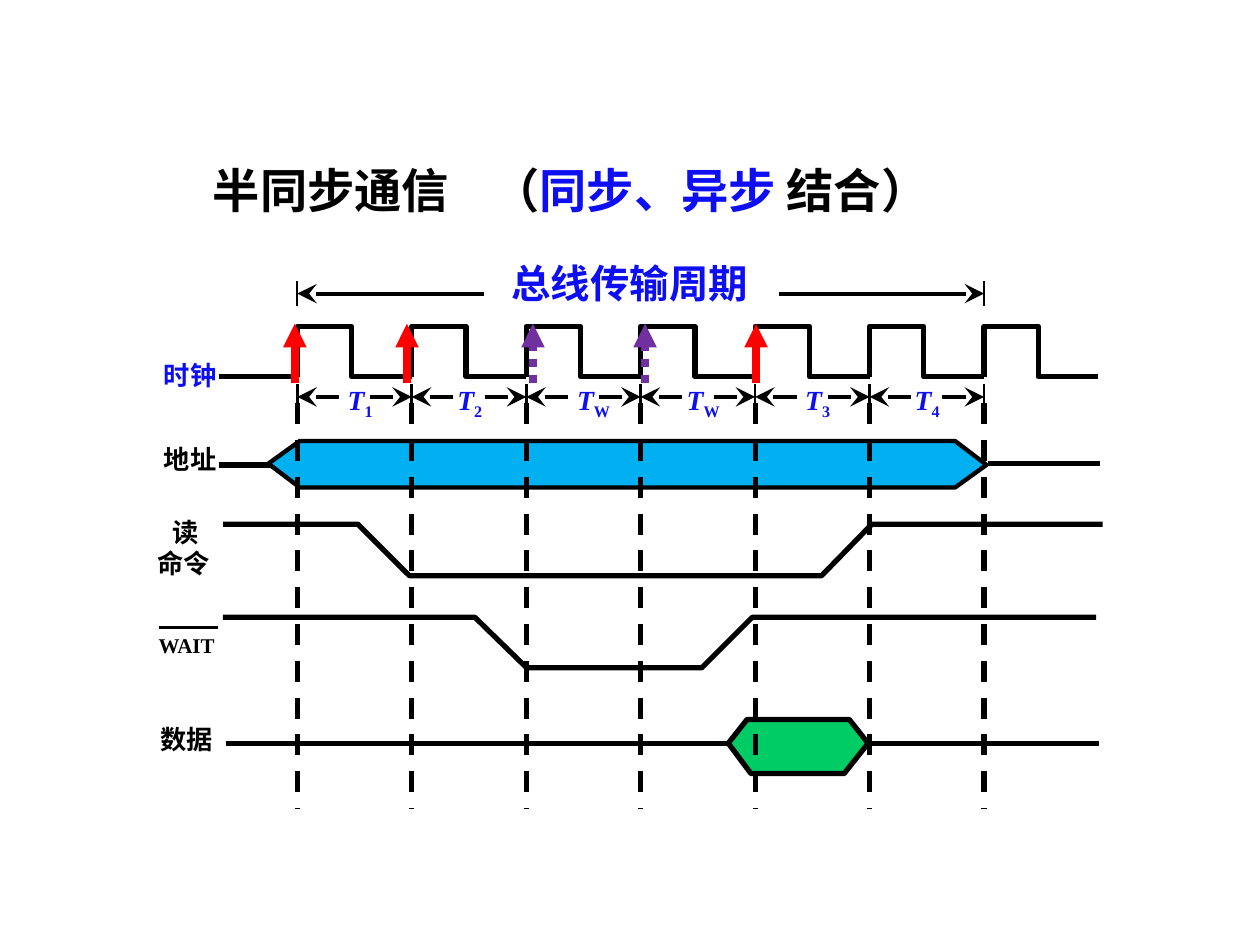
"""Build a timing diagram slide for semi-synchronous bus communication."""
from typing import NamedTuple, Optional

from lxml.etree import SubElement
from pptx import Presentation
from pptx.dml.color import RGBColor
from pptx.enum.dml import MSO_LINE
from pptx.enum.shapes import MSO_CONNECTOR
from pptx.enum.text import MSO_ANCHOR, MSO_AUTO_SIZE, PP_ALIGN
from pptx.oxml.ns import qn
from pptx.util import Inches, Pt

BLACK = RGBColor(0x00, 0x00, 0x00)
BLUE = RGBColor(0x0E, 0x0E, 0xF2)
RED = RGBColor(0xFF, 0x00, 0x00)
PURPLE = RGBColor(0x70, 0x30, 0xA0)
SKY = RGBColor(0x00, 0xB0, 0xF0)
GREEN = RGBColor(0x00, 0xCC, 0x66)
LATIN_FONT = "Times New Roman"
CHINESE_FONT = "Noto Sans CJK SC"

FIRST_EDGE, LAST_EDGE, PERIOD_COUNT = 2.36, 7.81, 6
PERIOD = (LAST_EDGE - FIRST_EDGE) / PERIOD_COUNT
EDGES = [FIRST_EDGE + PERIOD * index for index in range(PERIOD_COUNT + 1)]
CLOCK_HIGH, CLOCK_LOW = 2.59, 2.99
PERIOD_Y, CYCLE_Y = 3.15, 2.33


class Point(NamedTuple):
    x: float
    y: float


class Span(NamedTuple):
    text: str
    color: RGBColor = BLACK
    subscript: bool = False


class Label(NamedTuple):
    left: float
    top: float
    width: float
    height: float
    spans: list[Span]
    size: float
    inset: float = 0
    italic: bool = False


class Signal(NamedTuple):
    points: list[Point]
    fill: Optional[RGBColor] = None
    weight: float = 3


class Sample(NamedTuple):
    x: float
    color: RGBColor
    dash: Optional[MSO_LINE] = None


LABELS = [
    Label(3.81, 1.23, 3.9, 0.65,
          [Span("（"), Span("同步、异步 ", BLUE), Span("结合）")], 27, 0.1),
    Label(4.06, 2.06, 1.9, 0.45, [Span("总线传输周期", BLUE)], 22.5),
    Label(1.3, 2.85, 0.42, 0.3, [Span("时钟", BLUE)], 15),
    Label(1.3, 3.52, 0.42, 0.3, [Span("地址")], 15),
    Label(1.37, 4.1, 0.21, 0.3, [Span("读")], 15),
    Label(1.25, 4.34, 0.42, 0.3, [Span("命令")], 15),
    Label(1.26, 5.02, 0.46, 0.2, [Span("WAIT")], 12),
    Label(1.27, 5.74, 0.42, 0.3, [Span("数据")], 15),
]
PERIOD_LABELS = [(2.76, "1"), (3.63, "2"), (4.58, "W"),
                 (5.45, "W"), (6.39, "3"), (7.26, "4")]
SIGNALS = [
    Signal([Point(1.77, 4.16), Point(2.84, 4.16), Point(3.25, 4.57),
            Point(6.52, 4.57), Point(6.92, 4.16), Point(8.75, 4.16)]),
    Signal([Point(1.77, 4.9), Point(3.77, 4.9), Point(4.18, 5.3),
            Point(5.57, 5.3), Point(5.97, 4.9), Point(8.7, 4.9)]),
    Signal([Point(2.38, 3.5), Point(2.13, 3.68), Point(2.38, 3.87),
            Point(7.58, 3.87), Point(7.83, 3.69), Point(7.58, 3.5)], SKY, 2.5),
    Signal([Point(5.78, 5.9), Point(5.93, 5.71), Point(6.74, 5.71),
            Point(6.89, 5.9), Point(6.7, 6.14), Point(5.96, 6.14)], GREEN),
]
IDLE_LINES = [(1.74, 2.36, 2.99), (1.74, 2.14, 3.69), (7.84, 8.73, 3.68),
              (1.79, 5.79, 5.9), (6.89, 8.72, 5.9)]
SAMPLES = [Sample(2.34, RED), Sample(3.23, RED),
           Sample(4.23, PURPLE, MSO_LINE.ROUND_DOT),
           Sample(5.12, PURPLE, MSO_LINE.ROUND_DOT), Sample(6, RED)]


def write_spans(frame, spans: list[Span], size: float, italic: bool = False) -> None:
    """Fill a text frame with one bold, left-aligned paragraph."""
    frame.auto_size = MSO_AUTO_SIZE.NONE
    frame.vertical_anchor = MSO_ANCHOR.TOP
    paragraph = frame.paragraphs[0]
    paragraph.alignment = PP_ALIGN.LEFT
    font = paragraph.font
    font.name, font.size, font.bold, font.italic = LATIN_FONT, Pt(size), True, italic
    SubElement(paragraph._p.pPr.find(qn("a:defRPr")), qn("a:ea"), typeface=CHINESE_FONT)
    for span in spans:
        run = paragraph.add_run()
        run.text = span.text
        run.font.color.rgb = span.color
        if span.subscript:
            run.font.italic = False
            run._r.get_or_add_rPr().set("baseline", "-25000")


def add_label(page, label: Label) -> None:
    """Add one text box."""
    box = page.shapes.add_textbox(Inches(label.left), Inches(label.top),
                                  Inches(label.width), Inches(label.height))
    frame = box.text_frame
    frame.word_wrap = False
    frame.margin_left = frame.margin_right = Inches(label.inset)
    frame.margin_top = frame.margin_bottom = Inches(label.inset / 2)
    write_spans(frame, label.spans, label.size, label.italic)


def add_line(page, start: Point, end: Point, weight: float = 3,
             color: RGBColor = BLACK, dash: Optional[MSO_LINE] = None,
             arrow: str = "", arrow_size: str = "med") -> None:
    """Add a straight line, with an arrowhead at its end if one is named."""
    line = page.shapes.add_connector(
        MSO_CONNECTOR.STRAIGHT, Inches(start.x), Inches(start.y),
        Inches(end.x), Inches(end.y))
    line.line.width = Pt(weight)
    line.line.color.rgb = color
    if dash is not None:
        line.line.dash_style = dash
    properties = line._element.spPr
    if arrow:
        SubElement(properties.find(qn("a:ln")), qn("a:tailEnd"),
                   type=arrow, w=arrow_size, len=arrow_size)
    SubElement(properties, qn("a:effectLst"))


def add_dimension(page, start: float, end: float, y: float) -> None:
    """Add a stealth-headed dimension arrow."""
    add_line(page, Point(start, y), Point(end, y), 2.25,
             arrow="stealth", arrow_size="lg")


def add_signal(page, signal: Signal) -> None:
    """Add a waveform, closed when it has a fill."""
    corners = [(Inches(point.x), Inches(point.y)) for point in signal.points]
    builder = page.shapes.build_freeform(*corners[0])
    builder.add_line_segments(corners[1:], close=signal.fill is not None)
    shape = builder.convert_to_shape()
    shape.shadow.inherit = False
    if signal.fill is None:
        shape.fill.background()
    else:
        shape.fill.solid()
        shape.fill.fore_color.rgb = signal.fill
    shape.line.color.rgb = BLACK
    shape.line.width = Pt(signal.weight)


def add_title(page) -> None:
    """Place the slide title in its placeholder."""
    title = page.shapes.title
    title.left, title.top = Inches(1.59), Inches(1.23)
    title.width, title.height = Inches(2.2), Inches(0.65)
    write_spans(title.text_frame, [Span("半同步通信")], 27)


def main() -> None:
    """Draw the slide and save the deck."""
    deck = Presentation()
    deck.slide_width, deck.slide_height = Inches(10), Inches(7.5)
    page = deck.slides.add_slide(deck.slide_layouts[5])
    add_title(page)
    for signal in SIGNALS:
        add_signal(page, signal)
    for start, end, y in IDLE_LINES:
        add_line(page, Point(start, y), Point(end, y))
    add_line(page, Point(1.26, 4.98), Point(1.73, 4.98), 2)
    for label in LABELS:
        add_label(page, label)

    for edge in EDGES:
        fall = edge + 0.43
        add_signal(page, Signal([
            Point(edge, CLOCK_LOW), Point(edge, CLOCK_HIGH), Point(fall, CLOCK_HIGH),
            Point(fall, CLOCK_LOW), Point(edge + PERIOD, CLOCK_LOW)]))
        add_line(page, Point(edge, 3.05), Point(edge, 3.26), 1.5)
    for edge, (left, subscript) in zip(EDGES, PERIOD_LABELS):
        add_dimension(page, edge + 0.33, edge, PERIOD_Y)
        add_dimension(page, edge + PERIOD - 0.33, edge + PERIOD, PERIOD_Y)
        add_label(page, Label(left, 3.04, 0.27, 0.27,
                              [Span("T", BLUE), Span(subscript, BLUE, True)],
                              15.8, italic=True))

    for inner, outer in ((3.84, FIRST_EDGE), (6.18, LAST_EDGE)):
        add_dimension(page, inner, outer, CYCLE_Y)
        add_line(page, Point(outer, 2.23), Point(outer, 2.43), 1.25)
    for edge in EDGES:
        add_line(page, Point(edge, 3.2), Point(edge, 6.42), dash=MSO_LINE.DASH)
    for sample in SAMPLES:
        add_line(page, Point(sample.x, 3.04), Point(sample.x, 2.57), 4.5,
                 sample.color, sample.dash, "triangle")
    deck.save("out.pptx")


if __name__ == "__main__":
    main()
